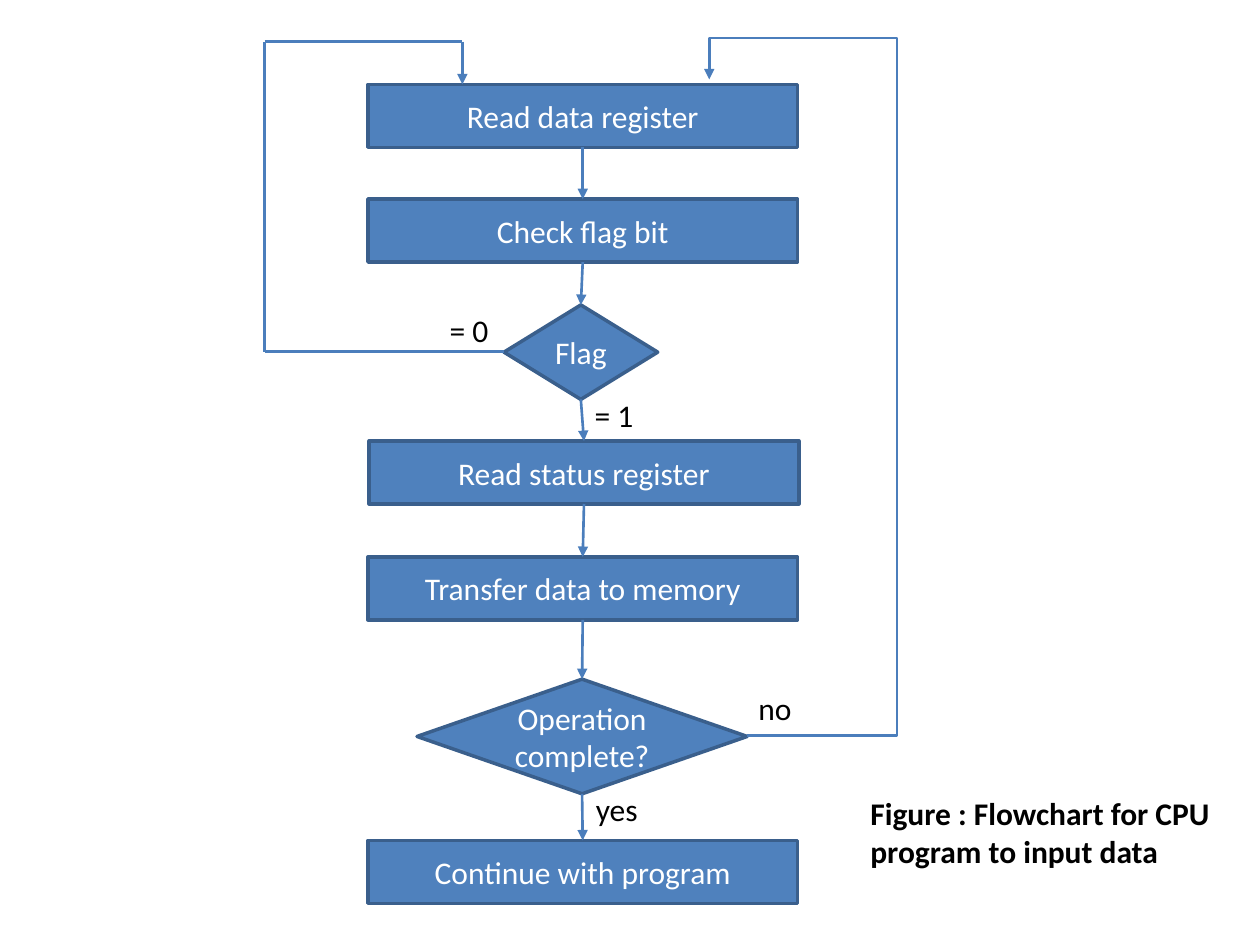
from dataclasses import dataclass
from itertools import pairwise

from lxml import etree
from pptx import Presentation
from pptx import util as u
from pptx.dml.color import RGBColor
from pptx.enum import shapes, text
from pptx.oxml import ns

STEP_FILL = RGBColor(0x4F, 0x81, 0xBD)
STEP_EDGE = RGBColor(0x3A, 0x5F, 0x8C)
FLOW = RGBColor(0x4B, 0x7E, 0xBC)
WHITE = RGBColor(0xFF, 0xFF, 0xFF)
BLACK = RGBColor(0, 0, 0)

BOX = shapes.MSO_SHAPE.RECTANGLE
DECISION = shapes.MSO_SHAPE.DIAMOND
STRAIGHT = shapes.MSO_CONNECTOR.STRAIGHT
TOP, BOTTOM = 0, 2  # connection sites


@dataclass
class Step:
    """One stage of the flowchart."""
    wording: str
    left: float
    top: float
    width: float = 3.41
    height: float = 0.5
    kind: shapes.MSO_SHAPE = BOX


@dataclass
class Label:
    """Free text beside the flow."""
    wording: str
    left: float
    top: float
    width: float = 0.55
    height: float = 0.4
    bold: bool = False


STEPS = [
    Step("Read data register", 2.92, 0.67),
    Step("Check flag bit", 2.92, 1.58),
    Step("Flag", 4, 2.42, 1.22, 0.75, DECISION),
    Step("Read status register", 2.93, 3.5),
    Step("Transfer data to memory", 2.92, 4.42),
    Step("Operation complete?", 3.31, 5.39, 2.62, 0.91, DECISION),
    Step("Continue with program", 2.92, 6.67),
]
LABELS = [
    Label("= 0", 3.47, 2.42),
    Label("= 1", 4.62, 3.09),
    Label("yes", 4.63, 6.22),
    Label("no", 5.92, 5.42),
    Label("Figure : Flowchart for CPU program to input data",
          6.81, 6.25, 3.17, 0.71, True),
]
FLAG_LOOP = [(4, 2.79), (2.1, 2.79), (2.1, 0.33), (3.67, 0.33), (3.67, 0.67)]


def write(frame, wording: str, color: RGBColor, bold: bool = False) -> None:
    """Put one paragraph of 18 point Calibri in a text frame."""
    frame.word_wrap = True
    paragraph = frame.paragraphs[0]
    paragraph.text = wording
    font = paragraph.font
    font.name, font.size, font.bold = "Calibri", u.Pt(18), bold
    font.color.rgb = color


def add_step(slide, step: Step):
    """Draw a process box or a decision diamond."""
    shape = slide.shapes.add_shape(
        step.kind, u.Inches(step.left), u.Inches(step.top),
        u.Inches(step.width), u.Inches(step.height))
    shape.shadow.inherit = False
    shape.fill.solid()
    shape.fill.fore_color.rgb = STEP_FILL
    shape.line.color.rgb = STEP_EDGE
    shape.line.width = u.Pt(2)
    write(shape.text_frame, step.wording, WHITE)
    shape.text_frame.vertical_anchor = text.MSO_ANCHOR.MIDDLE
    shape.text_frame.paragraphs[0].alignment = text.PP_ALIGN.CENTER
    return shape


def add_label(slide, label: Label) -> None:
    """Draw a branch label or the caption."""
    box = slide.shapes.add_textbox(
        u.Inches(label.left), u.Inches(label.top),
        u.Inches(label.width), u.Inches(label.height))
    write(box.text_frame, label.wording, BLACK, label.bold)
    box.text_frame.auto_size = text.MSO_AUTO_SIZE.SHAPE_TO_FIT_TEXT


def add_flow(slide, start=(0, 0), end=(0, 0), arrow=True, kind=STRAIGHT):
    """Draw a flow line, with an arrowhead at its end if asked."""
    flow = slide.shapes.add_connector(kind, *map(u.Inches, (*start, *end)))
    flow.line.color.rgb = FLOW
    flow.line.width = u.Pt(1.5)
    if arrow:
        etree.SubElement(flow.line._get_or_add_ln(), ns.qn("a:tailEnd"),
                         type="triangle")
    etree.SubElement(flow._element.spPr, ns.qn("a:effectLst"))
    return flow


def add_return(slide, start, end, right: float, top: float) -> None:
    """Draw a four-part elbow that runs out to right and up to top."""
    flow = add_flow(slide, start, end, kind=shapes.MSO_CONNECTOR.ELBOW)
    geometry = flow._element.spPr.find(ns.qn("a:prstGeom"))
    geometry.set("prst", "bentConnector4")
    for old in list(geometry):
        geometry.remove(old)
    guides = etree.SubElement(geometry, ns.qn("a:avLst"))
    ratios = ((right - start[0]) / (end[0] - start[0]),
              (top - start[1]) / (end[1] - start[1]))
    for number, ratio in enumerate(ratios, 1):
        etree.SubElement(guides, ns.qn("a:gd"), name=f"adj{number}",
                         fmla=f"val {round(ratio * 100000)}")


def main() -> None:
    """Build the flowchart slide."""
    deck = Presentation()
    deck.slide_width, deck.slide_height = u.Inches(10), u.Inches(7.5)
    slide = deck.slides.add_slide(deck.slide_layouts[6])

    stages = [add_step(slide, step) for step in STEPS]
    for upper, lower in pairwise(stages):
        flow = add_flow(slide)
        flow.begin_connect(upper, BOTTOM)
        flow.end_connect(lower, TOP)

    add_return(slide, (5.93, 5.84), (5.63, 0.63), right=7.12, top=0.3)
    for start, end in pairwise(FLAG_LOOP):
        add_flow(slide, start, end, arrow=end == FLAG_LOOP[-1])
    for label in LABELS:
        add_label(slide, label)

    deck.save("out.pptx")


main()
